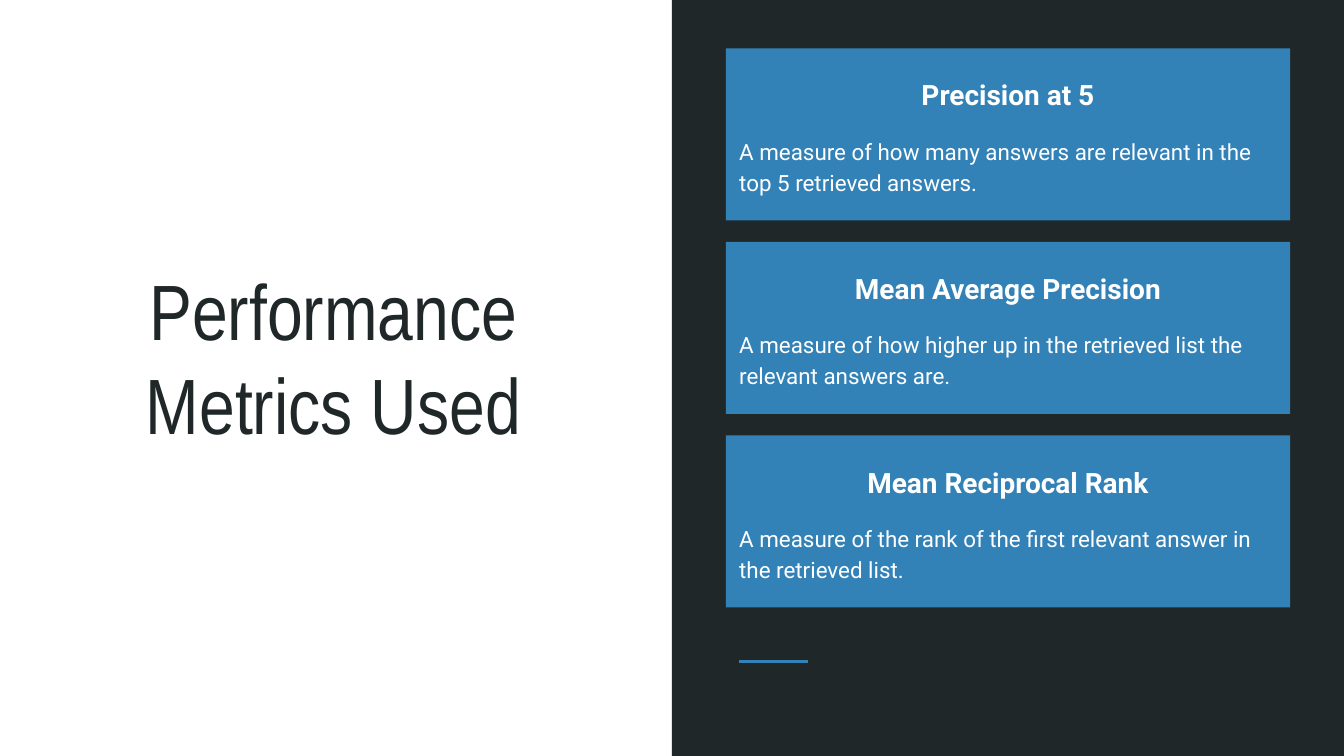
from pptx import Presentation
from pptx.dml.color import RGBColor
from pptx.enum.shapes import MSO_CONNECTOR as Link, MSO_SHAPE as Shape
from pptx.enum.text import MSO_ANCHOR as Anchor, MSO_AUTO_SIZE as Fit, PP_ALIGN as Align
from pptx.oxml.ns import qn
from pptx.util import Inches, Pt

TITLE = "Performance Metrics Used"
CARDS = [
    ("Precision at 5",
     "A measure of how many answers are relevant in the top 5 retrieved answers."),
    ("Mean Average Precision",
     "A measure of how higher up in the retrieved list the relevant answers are."),
    ("Mean Reciprocal Rank",
     "A measure of the rank of the first relevant answer in the retrieved list."),
]
DARK, BLUE, WHITE = "202729", "3282B8", "FFFFFF"
WIDE = 10
HIGH = WIDE * 9 / 16
HALF = WIDE / 2
LEFT, TOP, CARD_W, CARD_H, STEP = 5.4, 0.36, 4.2, 1.28, 1.44


def color(code):
    return RGBColor.from_string(code)


def place(shape, *box):
    shape.left, shape.top, shape.width, shape.height = map(Inches, box)


def frame(shape, anchor):
    """Give the text frame even insets, wrapping and a fixed size."""
    text = shape.text_frame
    text.margin_left = text.margin_right = Inches(0.1)
    text.margin_top = text.margin_bottom = Inches(0.1)
    text.word_wrap, text.auto_size = True, Fit.NONE
    text.vertical_anchor = anchor
    return text


def style(para, face, size, code, align, bold=False):
    para.alignment = align
    font = para.runs[0].font
    font.name, font.size, font.bold = face, Pt(size), bold
    font.color.rgb = color(code)


def plain(para, gap):
    """Drop bullet and indent, and set the spacing."""
    para.line_spacing = 1.15
    para.space_before = para.space_after = Pt(gap)
    props = para._p.get_or_add_pPr()
    props.set("marL", "0")
    props.set("indent", "0")
    props.append(props.makeelement(qn("a:buNone"), {}))


def add_panel(slide):
    panel = slide.shapes.add_shape(
        Shape.RECTANGLE, Inches(HALF), 0, Inches(HALF), Inches(HIGH))
    panel.shadow.inherit = False
    panel.fill.solid()
    panel.fill.fore_color.rgb = color(DARK)
    panel.line.fill.background()
    rule = slide.shapes.add_connector(
        Link.STRAIGHT, Inches(5.5), Inches(4.92), Inches(6.01), Inches(4.92))
    rule.line.color.rgb = color(BLUE)
    rule.line.width = Pt(1.5)
    props = rule._element.spPr
    props.append(props.makeelement(qn("a:effectLst"), {}))
    # Both belong behind the placeholders
    tree = slide.shapes._spTree
    tree.insert(2, panel._element)
    tree.insert(3, rule._element)


def fill_card(card, row, head, body):
    place(card, LEFT, TOP + row * STEP, CARD_W, CARD_H)
    card.fill.solid()
    card.fill.fore_color.rgb = color(BLUE)
    text = frame(card, Anchor.MIDDLE)
    text.text = f"{head}\n{body}"
    first, last = text.paragraphs
    plain(first, 0)
    plain(last, 12)
    style(first, "Roboto", 15, WHITE, Align.CENTER, True)
    style(last, "Roboto", 12, WHITE, Align.LEFT)


def main():
    deck = Presentation()
    deck.slide_width, deck.slide_height = Inches(WIDE), Inches(HIGH)
    slide = deck.slides.add_slide(deck.slide_layouts.get_by_name("Comparison"))
    title, *slots = slide.placeholders
    add_panel(slide)

    place(title, 0.27, 1.8, 4.42, 1.65)
    text = frame(title, Anchor.BOTTOM)
    text.text = TITLE
    style(text.paragraphs[0], "Arial Narrow", 42, DARK, Align.CENTER)

    for row, (slot, card) in enumerate(zip(slots, CARDS)):
        fill_card(slot, row, *card)
    for spare in slots[len(CARDS):]:
        spare._element.getparent().remove(spare._element)
    deck.save("out.pptx")


if __name__ == "__main__":
    main()
